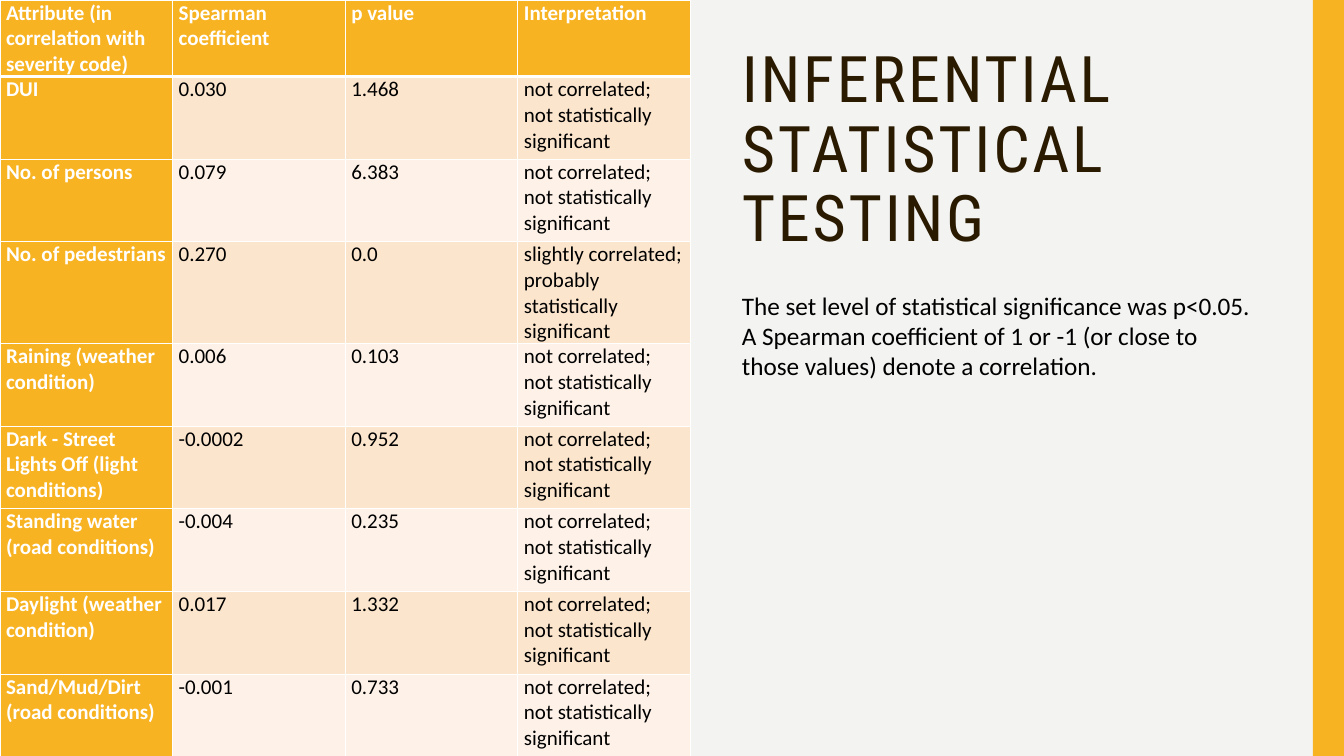
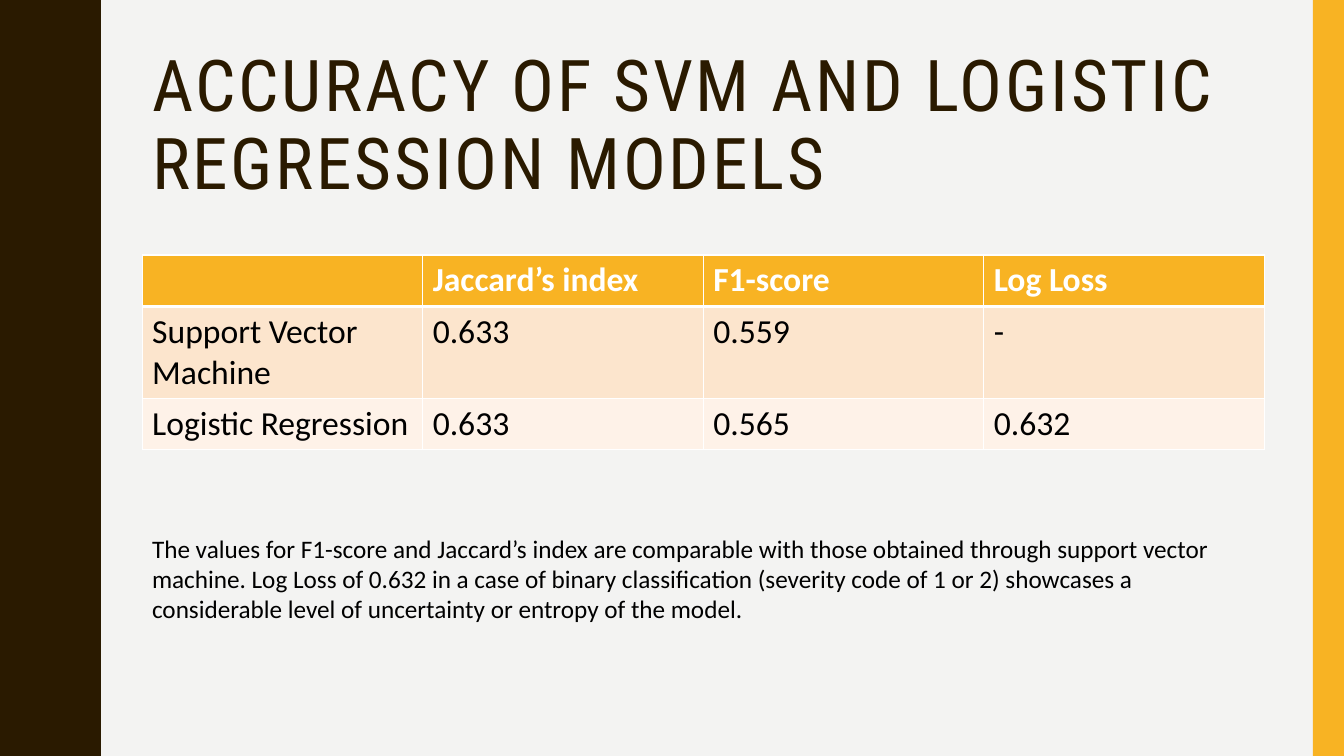
"""Build two slides on statistical testing and model accuracy."""
from lxml import etree
from pptx import Presentation
from pptx import util as u
from pptx.dml.color import RGBColor
from pptx.enum import shapes
from pptx.oxml.ns import qn

DARK, GOLD, PAPER = "2A1A00", "F8B323", "F3F3F2"
BLACK, WHITE = "000000", "FFFFFF"
BANDS = ["FCE5CD", "FEF2E8"]
HALF_WAVE = [(0.78, 0), (0.78, 0.07), (0.79, 0.14), (0.8, 0.2), (0.81, 0.25),
             (0.83, 0.29), (0.85, 0.33), (0.87, 0.38), (0.89, 0.42), (0.91, 0.46),
             (0.93, 0.5), (0.95, 0.55), (0.96, 0.61), (0.97, 0.68), (0.97, 0.75)]
PERIOD = 1.5
WAVE = HALF_WAVE + [(x, PERIOD - y) for x, y in HALF_WAVE[-2::-1]]
NOT_CORRELATED = "not correlated; not statistically significant"

SLIDES = [
    {
        "title": "INFERENTIAL STATISTICAL TESTING",
        "title_box": (7.26, 0.42, 5.24, 1.63), "title_size": 45.9,
        "body": "The set level of statistical significance was p<0.05. A Spearman coefficient "
                "of 1 or -1 (or close to those values) denote a correlation.",
        "body_box": (7.26, 2.83, 5.24, 1.01),
        "table_box": (0, 0, 6.85, 7.5), "table_size": 15,
        "row_heights": [0.76, 0.82, 0.82, 1.01] + [0.82] * 5,
        "margins": (0.06, 0), "gold_first_column": True,
        "rows": [
            ("Attribute (in correlation with severity code)", "Spearman coefficient",
             "p value", "Interpretation"),
            ("DUI", "0.030", "1.468", NOT_CORRELATED),
            ("No. of persons", "0.079", "6.383", NOT_CORRELATED),
            ("No. of pedestrians", "0.270", "0.0",
             "slightly correlated; probably statistically significant"),
            ("Raining (weather condition)", "0.006", "0.103", NOT_CORRELATED),
            ("Dark - Street Lights Off (light conditions)", "-0.0002", "0.952", NOT_CORRELATED),
            ("Standing water (road conditions)", "-0.004", "0.235", NOT_CORRELATED),
            ("Daylight (weather condition)", "0.017", "1.332", NOT_CORRELATED),
            ("Sand/Mud/Dirt (road conditions)", "-0.001", "0.733", NOT_CORRELATED),
        ],
    },
    {
        "title": "ACCURACY OF SVM AND LOGISTIC REGRESSION MODELS",
        "title_box": (1.41, 0.45, 11.13, 1.63), "title_size": 51,
        "body": "The values for F1-score and Jaccard’s index are comparable with those obtained "
                "through support vector machine. Log Loss of 0.632 in a case of binary "
                "classification (severity code of 1 or 2) showcases a considerable level of "
                "uncertainty or entropy of the model.",
        "body_box": (1.41, 5.24, 11.13, 1.01),
        "table_box": (1.41, 2.53, 11.13, 1.93), "table_size": 24,
        "row_heights": [0.51, 0.91, 0.51],
        "margins": (0.1, 0.05), "gold_first_column": False,
        "rows": [
            ("", "Jaccard’s index", "F1-score", "Log Loss"),
            ("Support Vector Machine", "0.633", "0.559", "-"),
            ("Logistic Regression", "0.633", "0.565", "0.632"),
        ],
    },
]


def paint(fmt, color):
    """Give a fill or a font a solid colour."""
    if hasattr(fmt, "solid"):
        fmt.solid()
        fmt.fore_color.rgb = RGBColor.from_string(color)
    else:
        fmt.color.rgb = RGBColor.from_string(color)


def add_text(s, box, text, size, font, color):
    """Add a wrapped text box and return its paragraph."""
    tf = s.shapes.add_textbox(*map(u.Inches, box)).text_frame
    tf.word_wrap = True
    p = tf.paragraphs[0]
    p.text = text
    p.font.size, p.font.name = u.Pt(size), font
    paint(p.font, color)
    return p


prs = Presentation()
prs.slide_width, prs.slide_height = u.Inches(13.33), u.Inches(7.5)
paint(prs.slide_master.background.fill, PAPER)

for page in SLIDES:
    s = prs.slides.add_slide(prs.slide_layouts[6])

    outline = [(x, y + PERIOD * i) for i in range(5) for x, y in WAVE] + [(0, 7.5)]
    builder = s.shapes.build_freeform(0, 0, scale=u.Inches(1))
    builder.add_line_segments(outline, close=True)
    wave = builder.convert_to_shape()
    bar = s.shapes.add_shape(shapes.MSO_SHAPE.RECTANGLE, u.Inches(13.02), 0,
                             u.Inches(0.31), u.Inches(7.5))
    for sp, color in ((wave, DARK), (bar, GOLD)):
        sp.shadow.inherit = False
        paint(sp.fill, color)
        sp.line.fill.background()

    p = add_text(s, page["title_box"], page["title"], page["title_size"],
                 "Roboto Condensed", DARK)
    p.line_spacing = 0.9
    p.runs[0]._r.get_or_add_rPr().set("spc", "200")

    rows = page["rows"]
    table = s.shapes.add_table(len(rows), len(rows[0]),
                               *map(u.Inches, page["table_box"])).table
    for row, height in zip(table.rows, page["row_heights"]):
        row.height = u.Inches(height)
    side, top = map(u.Inches, page["margins"])
    for i, row in enumerate(rows):
        for j, value in enumerate(row):
            cell = table.cell(i, j)
            gold = i == 0 or (j == 0 and page["gold_first_column"])
            cell.margin_left = cell.margin_right = side
            cell.margin_top = cell.margin_bottom = top
            cell.text = value
            p = cell.text_frame.paragraphs[0]
            p.font.size, p.font.name, p.font.bold = u.Pt(page["table_size"]), "Calibri", gold
            paint(p.font, WHITE if gold else BLACK)
            tcPr = cell._tc.get_or_add_tcPr()
            for edge in ("lnL", "lnR", "lnT", "lnB"):
                thick = (i, edge) in ((0, "lnB"), (1, "lnT"))
                ln = etree.SubElement(tcPr, qn("a:" + edge), w=str(u.Pt(3 if thick else 1)))
                fill = etree.SubElement(ln, qn("a:solidFill"))
                etree.SubElement(fill, qn("a:srgbClr"), val=WHITE)
            paint(cell.fill, GOLD if gold else BANDS[(i - 1) % 2])

    add_text(s, page["body_box"], page["body"], 18, "Calibri", BLACK)

prs.save("out.pptx")
